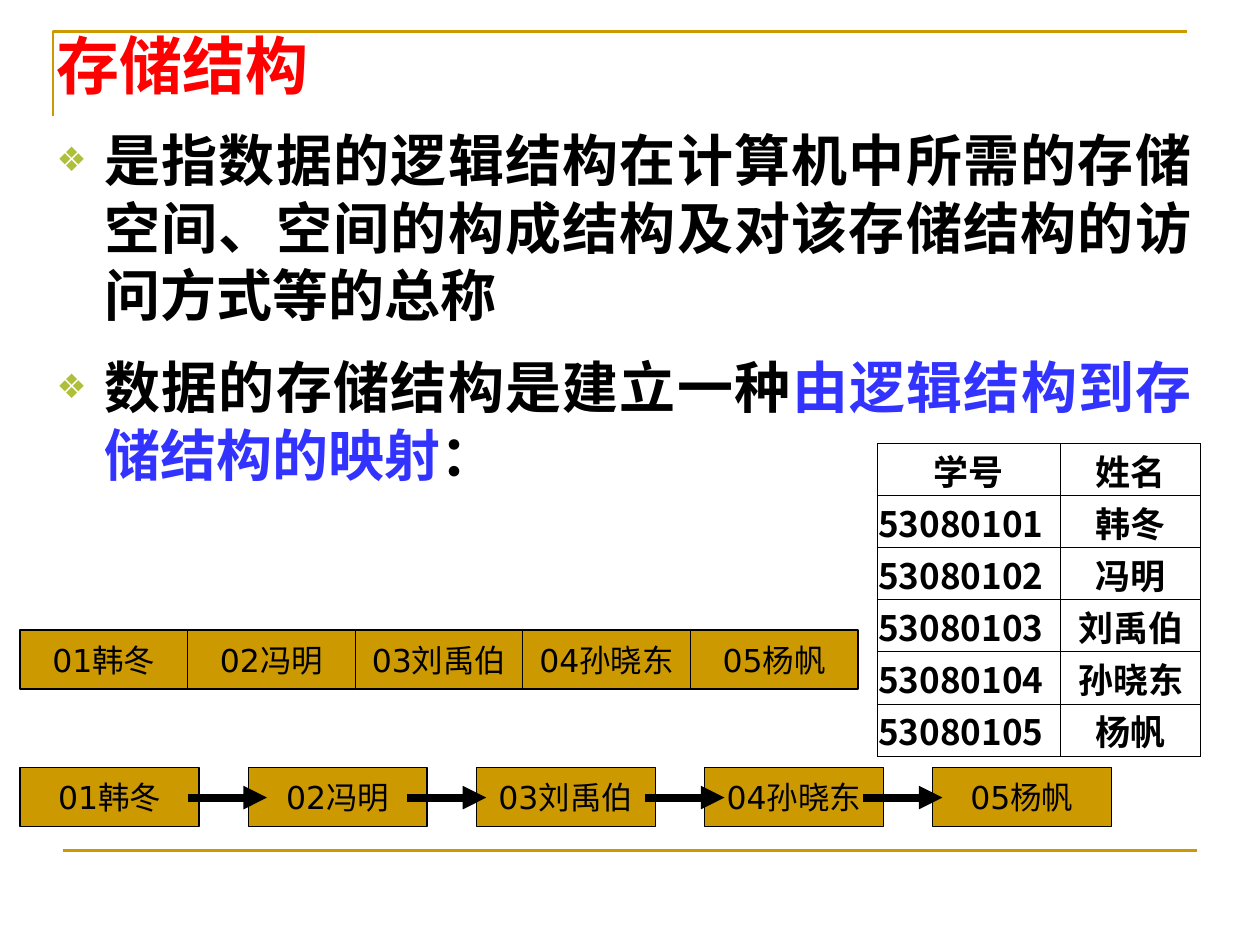
from dataclasses import dataclass

from lxml import etree
from pptx import Presentation
from pptx.dml.color import RGBColor
from pptx.enum.shapes import MSO_CONNECTOR, MSO_SHAPE
from pptx.enum.text import MSO_ANCHOR, MSO_AUTO_SIZE, PP_ALIGN
from pptx.oxml.ns import qn
from pptx.util import Inches, Pt

RECTANGLE = MSO_SHAPE.RECTANGLE
STRAIGHT = MSO_CONNECTOR.STRAIGHT
TOP, MIDDLE, BOTTOM = MSO_ANCHOR.TOP, MSO_ANCHOR.MIDDLE, MSO_ANCHOR.BOTTOM
LEFT, CENTER, JUSTIFY = PP_ALIGN.LEFT, PP_ALIGN.CENTER, PP_ALIGN.JUSTIFY


@dataclass(frozen=True)
class Theme:
    heading_font: str = "Noto Sans CJK SC"
    label_font: str = "DejaVu Sans"
    gold: str = "CC9900"
    black: str = "000000"
    red: str = "FF0000"
    blue: str = "3333FF"
    bullet: str = "AFBF39"
    title_size: int = 36
    body_size: int = 32
    table_size: int = 20
    label_size: int = 18


THEME = Theme()
STUDENTS = ["韩冬", "冯明", "刘禹伯", "孙晓东", "杨帆"]
BULLETS = [
    [("是指数据的逻辑结构在计算机中所需的存储空间、空间的构成结构及对该存储结构的"
      "访问方式等的总称", THEME.black)],
    [("数据的存储结构是建立一种", THEME.black),
     ("由逻辑结构到存储结构的映射", THEME.blue),
     ("：", THEME.black)],
]


def rgb(value):
    return RGBColor.from_string(value)


def set_attributes(target, values):
    for name, value in values.items():
        setattr(target, name, value)


def add_child(parent, tag, **attributes):
    return etree.SubElement(parent, qn(tag), attributes)


def add_span(para, text, size, color, font=THEME.heading_font, bold=True):
    span = para.add_run()
    span.text = text
    set_attributes(span.font, {"size": Pt(size), "bold": bold, "name": font})
    span.font.color.rgb = rgb(color)
    add_child(span.font._element, "a:ea", typeface=font)


def style_line(shape, color, width):
    shape.line.color.rgb = rgb(color)
    shape.line.width = Pt(width)


def add_line(page, start, end, color, width, arrow=False):
    points = [Inches(value) for value in (*start, *end)]
    line = page.shapes.add_connector(STRAIGHT, *points)
    style_line(line, color, width)
    if arrow:
        add_child(line.line._get_or_add_ln(), "a:tailEnd", type="triangle")
    add_child(line._element.spPr, "a:effectLst")


def add_frame(page):
    builder = page.shapes.build_freeform(Inches(0.42), Inches(0.92))
    corners = [(Inches(0.42), Inches(0.25)), (Inches(9.42), Inches(0.25))]
    builder.add_line_segments(corners, close=False)
    bracket = builder.convert_to_shape()
    bracket.shadow.inherit = False
    bracket.fill.background()
    style_line(bracket, THEME.gold, 1.5)
    add_line(page, (0.5, 6.75), (9.5, 6.75), THEME.gold, 1.5)


def format_frame(frame, anchor):
    set_attributes(frame, {
        "word_wrap": True, "auto_size": MSO_AUTO_SIZE.NONE, "vertical_anchor": anchor,
        "margin_left": Inches(0.1), "margin_right": Inches(0.1),
        "margin_top": Inches(0.05), "margin_bottom": Inches(0.05)})


def fill_title(page, text):
    title = page.shapes.title
    set_attributes(title, {"left": Inches(0.35), "top": Inches(0.23),
                           "width": Inches(9.21), "height": Inches(0.72)})
    format_frame(title.text_frame, TOP)
    para = title.text_frame.paragraphs[0]
    set_attributes(para, {"alignment": LEFT, "line_spacing": 0.9,
                          "space_before": Pt(0)})
    add_span(para, text, THEME.title_size, THEME.red)


def add_bullet(para):
    properties = para._p.get_or_add_pPr()
    properties.set("marL", str(Inches(0.38)))
    properties.set("indent", str(-Inches(0.38)))
    add_child(add_child(properties, "a:buClr"), "a:srgbClr", val=THEME.bullet)
    add_child(properties, "a:buSzPct", val="60000")
    add_child(properties, "a:buFont", typeface=THEME.label_font)
    add_child(properties, "a:buChar", char="❖")


def add_body(page, bullets):
    box = page.shapes.add_textbox(Inches(0.35), Inches(0.95), Inches(9.21), Inches(3))
    frame = box.text_frame
    format_frame(frame, TOP)
    for index, spans in enumerate(bullets):
        para = frame.add_paragraph() if index else frame.paragraphs[0]
        add_bullet(para)
        para.alignment = JUSTIFY
        if index:
            para.space_before = Pt(14.5)
        for text, color in spans:
            add_span(para, text, THEME.body_size, color)


def add_record_row(page, top, width, pitch):
    for index, name in enumerate(STUDENTS):
        box = page.shapes.add_shape(RECTANGLE, Inches(0.16 + index * pitch),
                                    Inches(top), Inches(width), Inches(0.47))
        box.shadow.inherit = False
        box.fill.solid()
        box.fill.fore_color.rgb = rgb(THEME.gold)
        style_line(box, THEME.black, 0.75)
        set_attributes(box.text_frame, {"word_wrap": False, "vertical_anchor": MIDDLE})
        para = box.text_frame.paragraphs[0]
        para.alignment = CENTER
        add_span(para, f"{index + 1:02d}{name}", THEME.label_size, THEME.black,
                 THEME.label_font, bold=False)


def add_borders(cell):
    properties = cell._tc.get_or_add_tcPr()
    for index, side in enumerate(("a:lnL", "a:lnR", "a:lnT", "a:lnB")):
        border = etree.Element(qn(side), w=str(Pt(0.5)))
        add_child(add_child(border, "a:solidFill"), "a:srgbClr", val=THEME.black)
        properties.insert(index, border)


def add_student_table(page):
    rows = [("学号", "姓名")]
    rows += [(str(53080101 + index), name) for index, name in enumerate(STUDENTS)]
    table = page.shapes.add_table(len(rows), 2, Inches(6.96), Inches(3.52),
                                  Inches(2.57), Inches(2.11)).table
    set_attributes(table, {"first_row": False, "horz_banding": False})
    for column, width in zip(table.columns, (1.46, 1.11)):
        column.width = Inches(width)
    for row_index, row in enumerate(rows):
        for column_index, text in enumerate(row):
            cell = table.cell(row_index, column_index)
            set_attributes(cell, {
                "margin_left": Inches(0.01), "margin_right": Inches(0.01),
                "margin_top": Inches(0.01), "margin_bottom": 0,
                "vertical_anchor": BOTTOM})
            cell.fill.background()
            add_borders(cell)
            para = cell.text_frame.paragraphs[0]
            is_number = row_index > 0 and column_index == 0
            para.alignment = LEFT if is_number else CENTER
            add_span(para, text, THEME.table_size, THEME.black)


def main():
    deck = Presentation()
    set_attributes(deck, {"slide_width": Inches(10), "slide_height": Inches(7.5)})
    page = deck.slides.add_slide(deck.slide_layouts[5])

    # Frame lines, title and body
    add_frame(page)
    fill_title(page, "存储结构")
    add_body(page, BULLETS)

    # Linked storage: spaced records joined by arrows
    add_record_row(page, top=6.09, width=1.42, pitch=1.81)
    for left in (1.49, 3.23, 5.12, 6.85):
        add_line(page, (left, 6.33), (left + 0.63, 6.33), THEME.black, 4.5, arrow=True)

    # Sequential storage: adjacent records
    add_record_row(page, top=5, width=1.33, pitch=1.33)

    # Logical structure
    add_student_table(page)
    deck.save("out.pptx")


if __name__ == "__main__":
    main()
